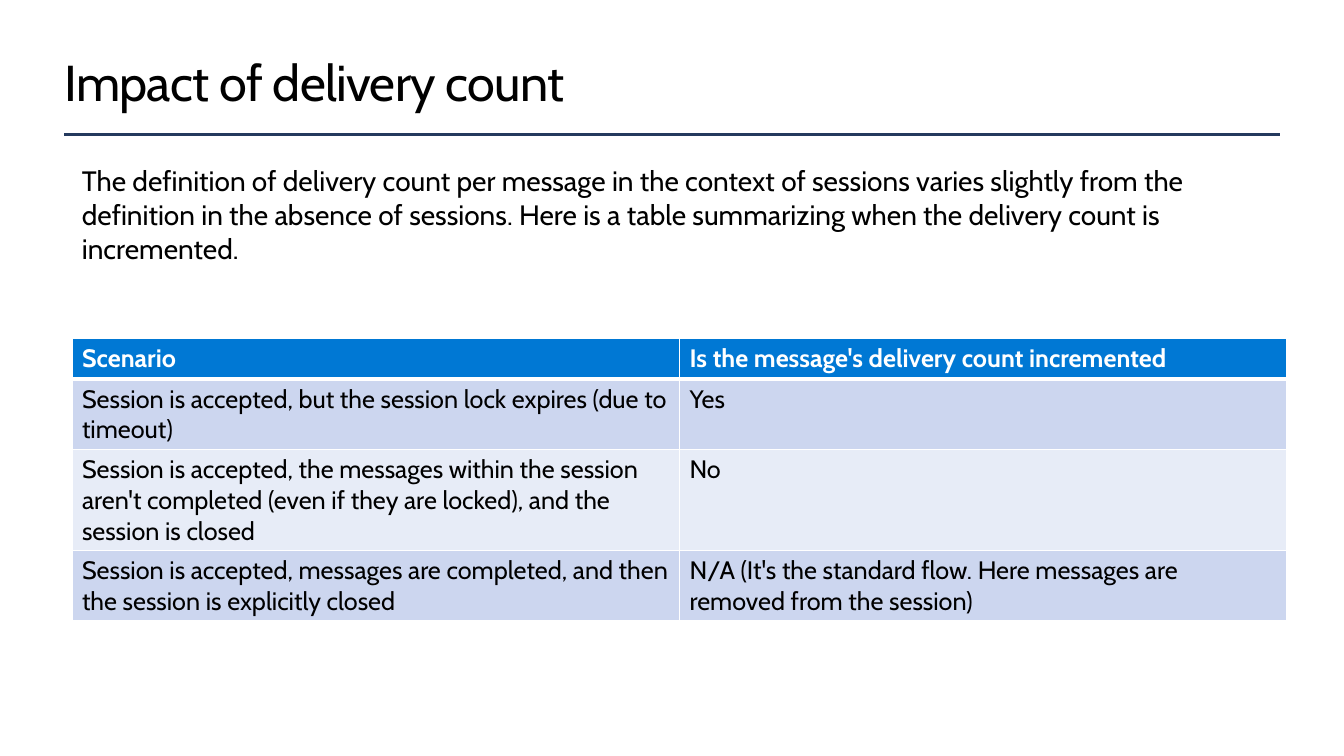
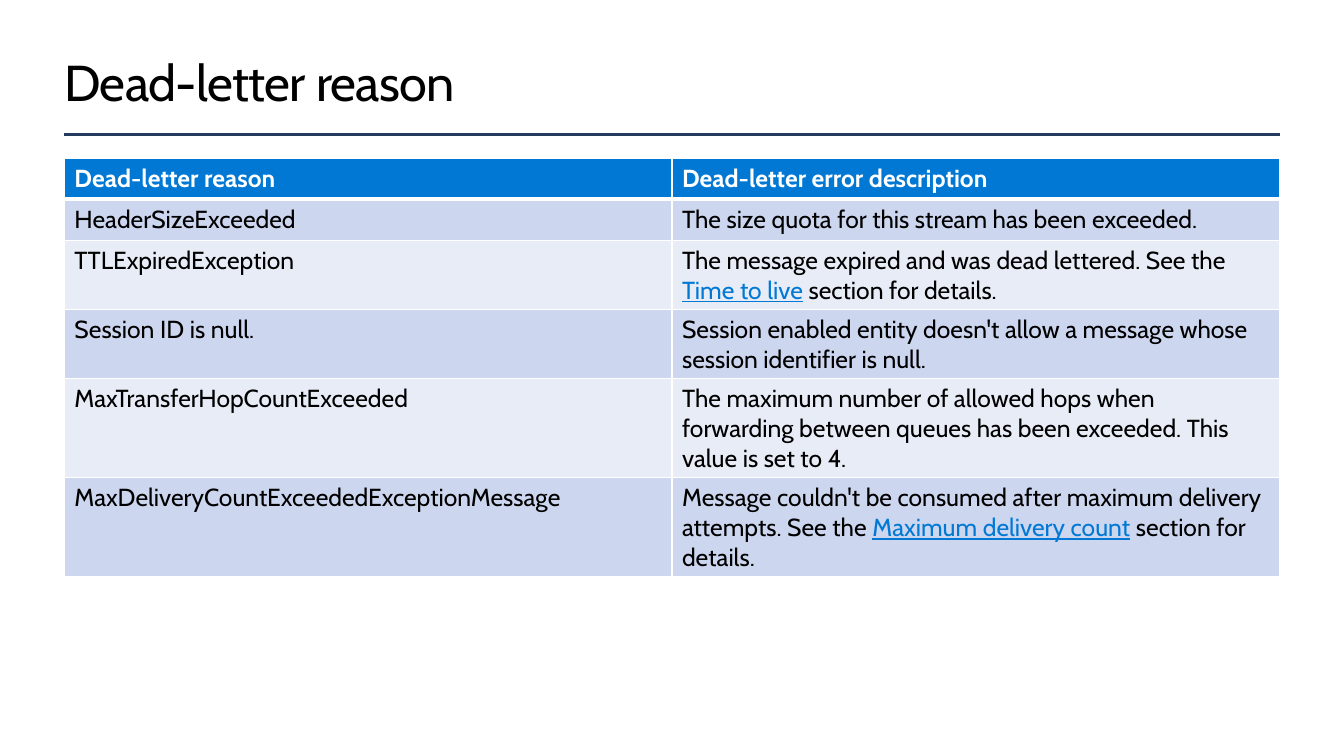
from dataclasses import dataclass

from lxml import etree
from pptx import Presentation
from pptx.dml.color import RGBColor as RGB
from pptx.enum.shapes import MSO_CONNECTOR as CONN
from pptx.enum.text import MSO_ANCHOR as ANCHOR
from pptx.oxml.ns import qn
from pptx.util import Pt


@dataclass(frozen=True)
class Theme:
    font: str = "Cabin"
    text: str = "000000"
    white: str = "FFFFFF"
    accent: str = "0078D4"
    rule: str = "243A5E"
    bands: tuple = ("CCD6EF", "E7ECF7")
    title_size: float = 36
    body_size: float = 20


T = Theme()
LEFT, WIDTH, ROW_H = 46, 868, 29.2

SLIDES = [
    {
        "title": "Impact of delivery count",
        "intro": "The definition of delivery count per message in the context of sessions varies slightly "
                 "from the definition in the absence of sessions. Here is a table summarizing when the "
                 "delivery count is incremented.",
        "table_at": (51.4, 241.4),
        "table_size": 18,
        "rows": [
            ("Scenario", "Is the message's delivery count incremented"),
            ("Session is accepted, but the session lock expires (due to timeout)", "Yes"),
            ("Session is accepted, the messages within the session aren't completed "
             "(even if they are locked), and the session is closed", "No"),
            ("Session is accepted, messages are completed, and then the session is explicitly closed",
             "N/A (It's the standard flow. Here messages are removed from the session)"),
        ],
    },
    {
        "title": "Dead-letter reason",
        "table_at": (LEFT, 113.2),
        "table_size": 17.6,
        "rows": [
            ("Dead-letter reason", "Dead-letter error description"),
            ("HeaderSizeExceeded", "The size quota for this stream has been exceeded."),
            ("TTLExpiredException",
             ("The message expired and was dead lettered. See the ", "Time to live",
              " section for details.")),
            ("Session ID is null.",
             "Session enabled entity doesn't allow a message whose session identifier is null."),
            ("MaxTransferHopCountExceeded",
             "The maximum number of allowed hops when forwarding between queues has been exceeded. "
             "This value is set to 4."),
            ("MaxDeliveryCountExceededExceptionMessage",
             ("Message couldn't be consumed after maximum delivery attempts. See the ",
              "Maximum delivery count", " section for details.")),
        ],
    },
]


def write(tf, content, size, color=T.text, bold=False):
    p = tf.paragraphs[0]
    p.font.name, p.font.size, p.font.bold = T.font, Pt(size), bold
    p.font.color.rgb = RGB.from_string(color)
    parts = (content,) if isinstance(content, str) else content
    for i, part in enumerate(parts):
        r = p.add_run()
        r.text = part
        if i % 2:
            r.font.underline = True
            r.font.color.rgb = RGB.from_string(T.accent)
    return p


def add_text(slide, content, box, size):
    tf = slide.shapes.add_textbox(*map(Pt, box)).text_frame
    tf.word_wrap = True
    return tf, write(tf, content, size)


def add_heading(slide, title):
    tf, p = add_text(slide, title, (LEFT, 36, WIDTH, 44), T.title_size)
    tf.vertical_anchor = ANCHOR.MIDDLE
    tf.margin_left = tf.margin_right = tf.margin_top = tf.margin_bottom = 0
    p.runs[0].font.size = Pt(T.title_size)
    p.runs[0]._r.get_or_add_rPr().set("spc", "-50")
    rule = slide.shapes.add_connector(CONN.STRAIGHT, Pt(LEFT), Pt(96), Pt(LEFT + WIDTH), Pt(96))
    rule.line.color.rgb = RGB.from_string(T.rule)
    rule.line.width = Pt(2)
    etree.SubElement(rule._element.spPr, qn("a:effectLst"))


def set_borders(cell, top, bottom):
    tc_pr = cell._tc.get_or_add_tcPr()
    for i, (side, width) in enumerate((("L", 1), ("R", 1), ("T", top), ("B", bottom))):
        ln = etree.Element(qn(f"a:ln{side}"), w=str(Pt(width)))
        fill = etree.SubElement(ln, qn("a:solidFill"))
        etree.SubElement(fill, qn("a:srgbClr"), val=T.white)
        tc_pr.insert(i, ln)


def add_grid(slide, rows, at, size):
    n_cols = len(rows[0])
    frame = slide.shapes.add_table(len(rows), n_cols, *map(Pt, at), Pt(WIDTH), Pt(ROW_H * len(rows)))
    table = frame.table
    for i, row in enumerate(rows):
        header = i == 0
        table.rows[i].height = Pt(ROW_H)
        for j, content in enumerate(row):
            cell = table.cell(i, j)
            write(cell.text_frame, content, size, T.white if header else T.text, header)
            cell.fill.solid()
            cell.fill.fore_color.rgb = RGB.from_string(T.accent if header else T.bands[(i - 1) % 2])
            set_borders(cell, 3 if i == 1 else 1, 3 if header else 1)


def main():
    prs = Presentation()
    prs.slide_width, prs.slide_height = Pt(960), Pt(540)
    for data in SLIDES:
        slide = prs.slides.add_slide(prs.slide_layouts[6])
        add_heading(slide, data["title"])
        add_grid(slide, data["rows"], data["table_at"], data["table_size"])
        if "intro" in data:
            add_text(slide, data["intro"], (51.4, 113.6, 863, 80), T.body_size)
    prs.save("out.pptx")


if __name__ == "__main__":
    main()
